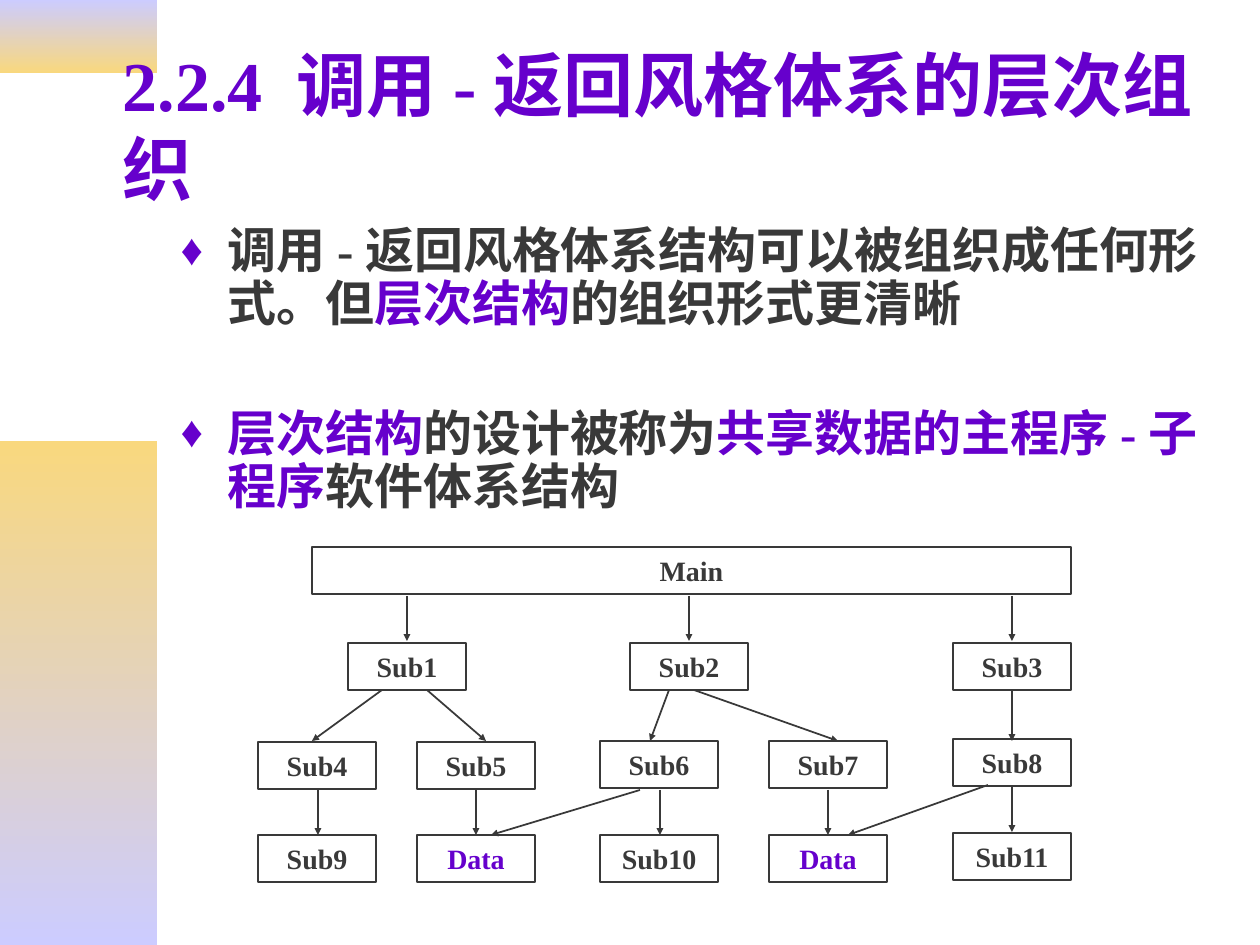
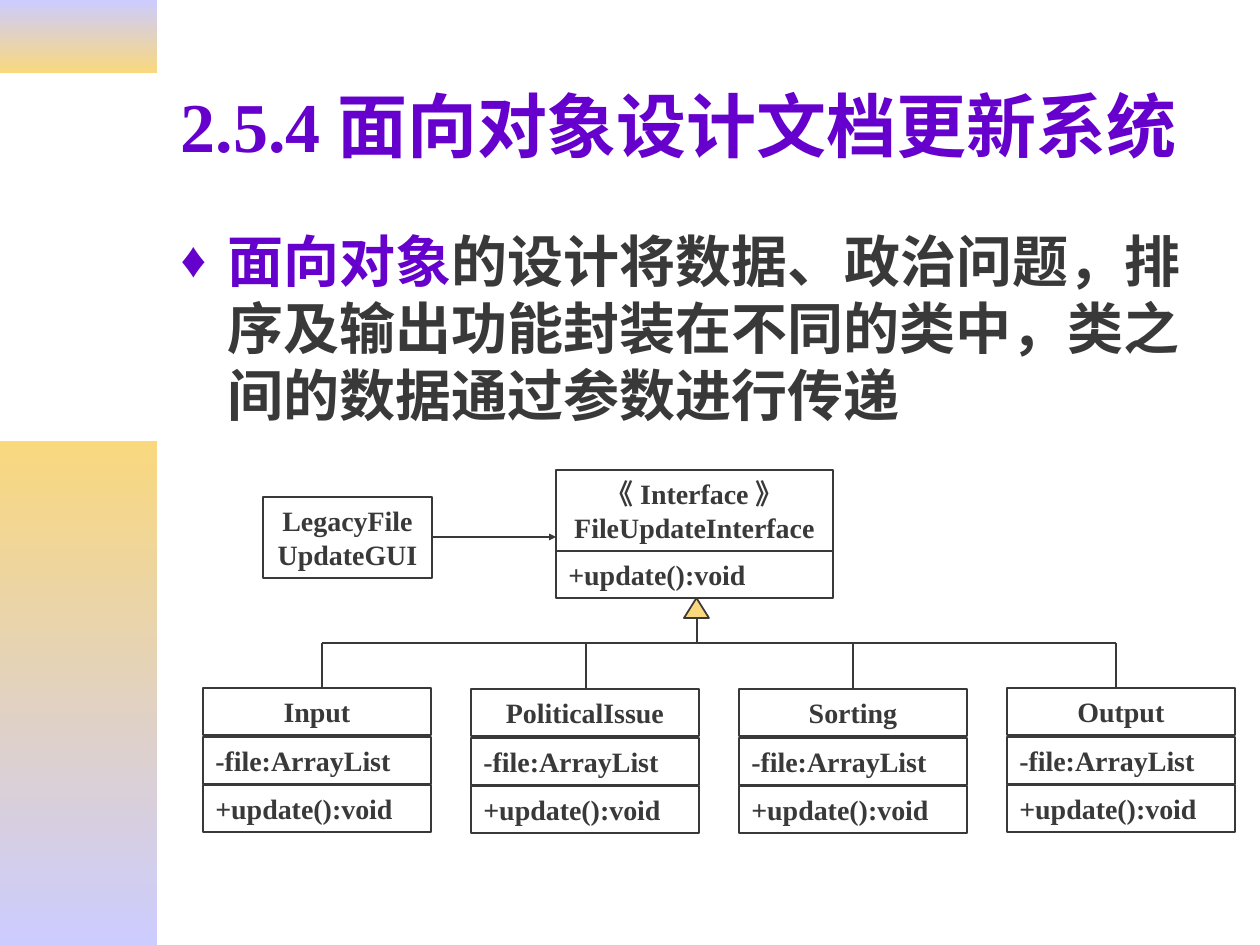
from lxml.etree import SubElement
from pptx import Presentation
from pptx.dml.color import RGBColor
from pptx.enum.shapes import MSO_CONNECTOR, MSO_SHAPE
from pptx.enum.text import MSO_ANCHOR, MSO_AUTO_SIZE, PP_ALIGN
from pptx.oxml.ns import qn
from pptx.util import Pt

PIXEL = 914400 / 126
FONT = "Times New Roman"
INK, VIOLET, LILAC, GOLD = "393939", "6600CC", "CCCCFF", "F9D87E"
TEXT_HEIGHT = 47


def px(length):
    """Turn pixels into EMU."""
    return round(length * PIXEL)


def color(value):
    """Turn a hex string into a colour."""
    return RGBColor.from_string(value)


def style_span(span, size, ink):
    """Format one run in the bold deck font."""
    span.font.name = FONT
    span.font.size = Pt(size)
    span.font.bold = True
    span.font.color.rgb = color(ink)


def place(shape, left, top, width, height):
    """Move and size a placeholder."""
    shape.left, shape.top = px(left), px(top)
    shape.width, shape.height = px(width), px(height)
    shape.text_frame.word_wrap = True
    shape.text_frame.auto_size = MSO_AUTO_SIZE.NONE


def add_shape(page, kind, left, top, width, height):
    """Add a preset shape without a shadow."""
    shape = page.shapes.add_shape(kind, px(left), px(top), px(width), px(height))
    shape.shadow.inherit = False
    return shape


def outline(shape):
    """Give a shape or connector the thin dark line."""
    shape.line.color.rgb = color(INK)
    shape.line.width = Pt(1)


def add_band(page, top, height, upper, lower):
    """Add a left gradient band behind the text."""
    band = add_shape(page, MSO_SHAPE.RECTANGLE, 0, top, 157, height)
    band.fill.gradient()
    band.fill.gradient_angle = 270
    for stop, shade in zip(band.fill.gradient_stops, (upper, lower)):
        stop.color.rgb = color(shade)
    band.line.fill.background()
    page.shapes.title.element.addprevious(band.element)


def add_page(deck, title, title_left, title_width):
    """Add a page with its bands and title."""
    page = deck.slides.add_slide(deck.slide_layouts[1])
    add_band(page, 0, 73, LILAC, GOLD)
    add_band(page, 441, 504, GOLD, LILAC)
    heading = page.shapes.title
    place(heading, title_left, 42, title_width, 166)
    heading.text_frame.vertical_anchor = MSO_ANCHOR.MIDDLE
    para = heading.text_frame.paragraphs[0]
    para.text = title
    para.alignment = PP_ALIGN.LEFT
    style_span(para.runs[0], 40, VIOLET)
    return page


def add_bullet(para):
    """Give a paragraph the violet diamond bullet."""
    properties = para._p.get_or_add_pPr()
    properties.set("marL", str(px(47)))
    properties.set("indent", str(-px(47)))
    tint = SubElement(properties, qn("a:buClr"))
    SubElement(tint, qn("a:srgbClr"), val=VIOLET)
    SubElement(properties, qn("a:buSzPct"), val="90000")
    SubElement(properties, qn("a:buChar"), char="♦")


def fill_body(page, height, size, spacing, gap, bullets):
    """Write the bullets, each a list of text and colour pairs."""
    body = page.placeholders[1]
    place(body, 168, 220, 1071, height)
    for index, parts in enumerate(bullets):
        frame = body.text_frame
        para = frame.add_paragraph() if index else frame.paragraphs[0]
        add_bullet(para)
        para.line_spacing = spacing
        para.space_before = Pt(gap if index else 0)
        for text, ink in parts:
            span = para.add_run()
            span.text = text
            style_span(span, size, ink)


def add_box(page, text, left, top, width, height=TEXT_HEIGHT, ink=INK,
            align=PP_ALIGN.CENTER):
    """Add an outlined diagram box with text."""
    box = add_shape(page, MSO_SHAPE.RECTANGLE, left, top, width, height)
    box.fill.background()
    outline(box)
    frame = box.text_frame
    frame.word_wrap = True
    frame.vertical_anchor = MSO_ANCHOR.MIDDLE
    frame.text = text
    for para in frame.paragraphs:
        para.alignment = align
        style_span(para.runs[0], 16, ink)


def add_line(page, start_x, start_y, end_x, end_y, arrow=False):
    """Add a straight line, with an arrowhead at its end on request."""
    line = page.shapes.add_connector(
        MSO_CONNECTOR.STRAIGHT, px(start_x), px(start_y), px(end_x), px(end_y))
    outline(line)
    properties = line.element.spPr
    if arrow:
        SubElement(properties.find(qn("a:ln")), qn("a:tailEnd"),
                   type="triangle", w="sm", len="sm")
    SubElement(properties, qn("a:effectLst"))


def draw_call_tree(page):
    """Draw the main program, its subprograms and the shared data."""
    add_box(page, "Main", 312, 547, 759)
    columns = (258, 417, 600, 769, 953)
    rows = (
        (("Sub1", "Sub2", "Sub3"), (348, 630, 953), (643, 643, 643)),
        (("Sub4", "Sub5", "Sub6", "Sub7", "Sub8"), columns,
         (742, 742, 741, 741, 739)),
        (("Sub9", "Data", "Sub10", "Data", "Sub11"), columns,
         (835, 835, 835, 835, 833)),
    )
    for row in rows:
        for name, left, top in zip(*row):
            ink = VIOLET if name == "Data" else INK
            add_box(page, name, left, top, 118, ink=ink)
    levels = (
        (596, 641, ((407, 407), (689, 689), (1012, 1012))),
        (690, 741, ((382, 312), (427, 486), (669, 650), (694, 838),
                    (1012, 1012))),
        (790, 835, ((318, 318), (476, 476), (640, 491), (660, 660),
                    (828, 828))),
        (786, 832, ((1012, 1012),)),
        (785, 835, ((988, 848),)),
    )
    for start_y, end_y, calls in levels:
        for start_x, end_x in calls:
            add_line(page, start_x, start_y, end_x, end_y, arrow=True)


def draw_class_diagram(page):
    """Draw the interface, its caller and its four implementations."""
    method = "+update():void"
    add_box(page, "LegacyFileUpdateGUI", 263, 497, 169, 81)
    add_box(page, "《Interface》\nFileUpdateInterface", 556, 470, 277, 81)
    add_box(page, method, 556, 551, 277, align=PP_ALIGN.LEFT)
    add_line(page, 432, 537, 556, 537, arrow=True)

    triangle = add_shape(page, MSO_SHAPE.ISOSCELES_TRIANGLE, 684, 598, 25, 20)
    triangle.fill.solid()
    triangle.fill.fore_color.rgb = color(GOLD)
    outline(triangle)
    add_line(page, 697, 618, 697, 643)
    add_line(page, 322, 643, 1116, 643)

    classes = (("Input", 688, 322), ("PoliticalIssue", 689, 586),
               ("Sorting", 689, 853), ("Output", 688, 1116))
    for index, (name, top, branch) in enumerate(classes):
        left = 203 + 268 * index
        add_line(page, branch, 643, branch, 688)
        add_box(page, name, left, top, 228)
        add_box(page, "-file:ArrayList", left, top + 49, 228,
                align=PP_ALIGN.LEFT)
        add_box(page, method, left, top + 97, 228, align=PP_ALIGN.LEFT)


def main():
    """Build and save the deck."""
    deck = Presentation()
    deck.slide_width, deck.slide_height = px(1260), px(945)

    page = add_page(deck, "2.2.4 调用-返回风格体系的层次组织", 110, 1130)
    fill_body(page, 306, 28, 0.9, 44, [
        [("调用-返回风格体系结构可以被组织成任何形式。但", INK),
         ("层次结构", VIOLET), ("的组织形式更清晰", INK)],
        [("层次结构", VIOLET), ("的设计被称为", INK),
         ("共享数据的主程序-子程序", VIOLET), ("软件体系结构", INK)],
    ])
    draw_call_tree(page)

    page = add_page(deck, "2.5.4面向对象设计文档更新系统", 168, 1071)
    fill_body(page, 222, 32, 1.0, 0, [
        [("面向对象", VIOLET),
         ("的设计将数据、政治问题，排序及输出功能封装在不同的类中，"
          "类之间的数据通过参数进行传递", INK)],
    ])
    draw_class_diagram(page)

    deck.save("out.pptx")


if __name__ == "__main__":
    main()
